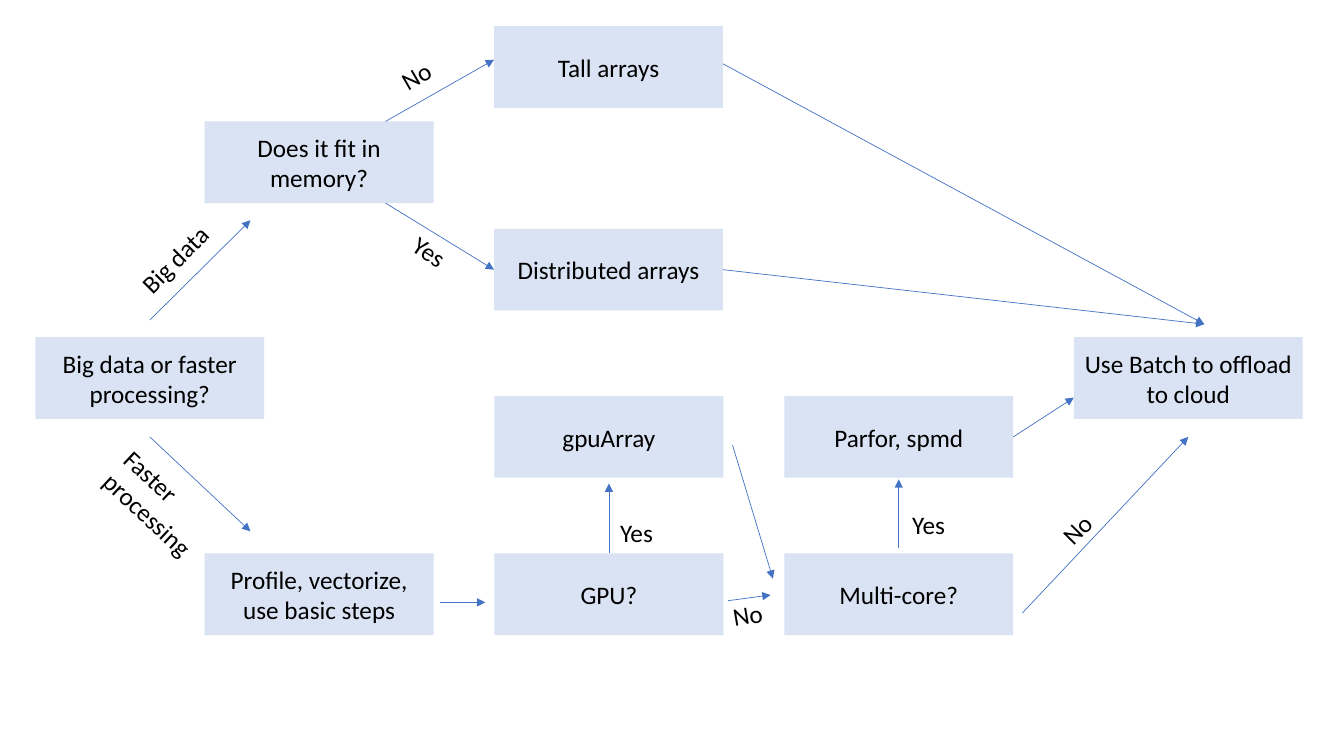
from collections import namedtuple
from dataclasses import dataclass

from lxml.etree import SubElement
from pptx import Presentation
from pptx.dml.color import RGBColor
from pptx.enum.shapes import MSO_CONNECTOR, MSO_SHAPE
from pptx.enum.text import MSO_ANCHOR, MSO_AUTO_SIZE, PP_ALIGN
from pptx.oxml.ns import qn
from pptx.util import Inches, Pt


@dataclass(frozen=True)
class Theme:
    font: str = "Calibri"
    size: int = 18
    ink: str = "000000"
    fill: str = "DAE3F3"
    line: str = "4472C4"
    thick: float = 0.5


THEME = Theme()
WIDE, HIGH = Inches(13.33), Inches(7.5)
NODE_W, NODE_H = int(WIDE * 0.1703), int(HIGH * 0.108)
SIDES = {(0.5, 0): 0, (0, 0.5): 1, (0.5, 1): 2, (1, 0.5): 3}
Box = namedtuple("Box", "left top width height")


def area(left, top, width, height):
    return Box(*(int(share * size / 100) for share, size in
                 ((left, WIDE), (top, HIGH), (width, WIDE), (height, HIGH))))


def spot(box, x, y):
    return int(box.left + x * box.width), int(box.top + y * box.height)


def write(frame, text):
    frame.word_wrap = True
    part = frame.paragraphs[0]
    run = part.add_run()
    run.text = text
    run.font.name = THEME.font
    run.font.size = Pt(THEME.size)
    run.font.color.rgb = RGBColor.from_string(THEME.ink)
    return part


def node(slide, box, col, row, text):
    left = int(box.left + col * (box.width - NODE_W))
    top = int(box.top + row * (box.height - NODE_H))
    shape = slide.shapes.add_shape(MSO_SHAPE.RECTANGLE, left, top, NODE_W, NODE_H)
    shape.shadow.inherit = False
    shape.fill.solid()
    shape.fill.fore_color.rgb = RGBColor.from_string(THEME.fill)
    shape.line.fill.background()
    shape.text_frame.vertical_anchor = MSO_ANCHOR.MIDDLE
    write(shape.text_frame, text).alignment = PP_ALIGN.CENTER
    return shape


def arrow(slide, tail, start, head, end):
    line = slide.shapes.add_connector(
        MSO_CONNECTOR.STRAIGHT, *spot(tail, *start), *spot(head, *end))
    if start in SIDES:
        line.begin_connect(tail, SIDES[start])
    if end in SIDES:
        line.end_connect(head, SIDES[end])
    line.line.color.rgb = RGBColor.from_string(THEME.line)
    line.line.width = Pt(THEME.thick)
    SubElement(line.line._get_or_add_ln(), qn("a:tailEnd"), type="triangle")
    SubElement(line._element.spPr, qn("a:effectLst"))


def label(slide, base, x, y, text, turn=0, width=0.51, height=0.49):
    mid, level = spot(base, x, y)
    wide, high = int(width * NODE_W), int(height * NODE_H)
    note = slide.shapes.add_textbox(mid - wide // 2, level - high // 2, wide, high)
    note.rotation = turn
    write(note.text_frame, text)
    note.text_frame.auto_size = MSO_AUTO_SIZE.SHAPE_TO_FIT_TEXT


def data(slide, box, first, last):
    ask = node(slide, box, 0, 0.47, "Does it fit in memory?")
    tall = node(slide, box, 1, 0, "Tall arrays")
    dist = node(slide, box, 1, 1, "Distributed arrays")
    arrow(slide, first, (0.5, -0.21), ask, (0.2, 1.21))
    arrow(slide, ask, (0.79, 0), tall, (0, 0.41))
    arrow(slide, ask, (0.79, 1), dist, (0, 0.5))
    arrow(slide, tall, (1, 0.46), last, (0.57, -0.16))
    arrow(slide, dist, (1, 0.5), last, (0.57, -0.16))
    label(slide, first, 0.63, -1.02, "Big data", -45.1)
    label(slide, ask, 1.05, -0.77, "No", -30.1)
    label(slide, ask, 1.1, 1.81, "Yes", 33.5)


def speed(slide, box, first, last):
    basic = node(slide, box, 0, 1, "Profile, vectorize, use basic steps")
    chip = node(slide, box, 0.5, 1, "GPU?")
    array = node(slide, box, 0.5, 0, "gpuArray")
    multi = node(slide, box, 1, 1, "Multi-core?")
    loop = node(slide, box, 1, 0, "Parfor, spmd")
    arrow(slide, first, (0.5, 1.22), basic, (0.2, -0.27))
    arrow(slide, basic, (1.03, 0.6), chip, (-0.04, 0.6))
    arrow(slide, chip, (0.5, 0), array, (0.5, 1.07))
    arrow(slide, chip, (1.02, 0.58), multi, (-0.06, 0.51))
    arrow(slide, array, (1.04, 0.6), multi, (-0.05, 0.31))
    arrow(slide, multi, (0.5, -0.06), loop, (0.5, 1.02))
    arrow(slide, multi, (1.04, 0.73), last, (0.5, 1.22))
    arrow(slide, loop, (1, 0.5), last, (0, 0.74))
    label(slide, first, 0.55, 2.07, "Faster processing", 43.1, 0.6, 0.87)
    label(slide, chip, 0.76, -0.26, "Yes")
    label(slide, chip, 1.25, 0.68, "No", -9.5)
    label(slide, multi, 0.77, -0.36, "Yes")
    label(slide, multi, 1.38, -0.59, "No", -45.4)


def chart(slide, box):
    first = node(slide, box, 0, 0.59, "Big data or faster processing?")
    last = node(slide, box, 1, 0.59, "Use Batch to offload to cloud")
    data(slide, area(15.23, 3.47, 38.56, 37.6), first, last)
    speed(slide, area(15.23, 52.4, 60.16, 31.6), first, last)


def main():
    deck = Presentation()
    deck.slide_width, deck.slide_height = WIDE, HIGH
    slide = deck.slides.add_slide(deck.slide_layouts[6])
    chart(slide, area(2.63, 3.47, 94.3, 80.53))
    deck.save("out.pptx")


if __name__ == "__main__":
    main()
